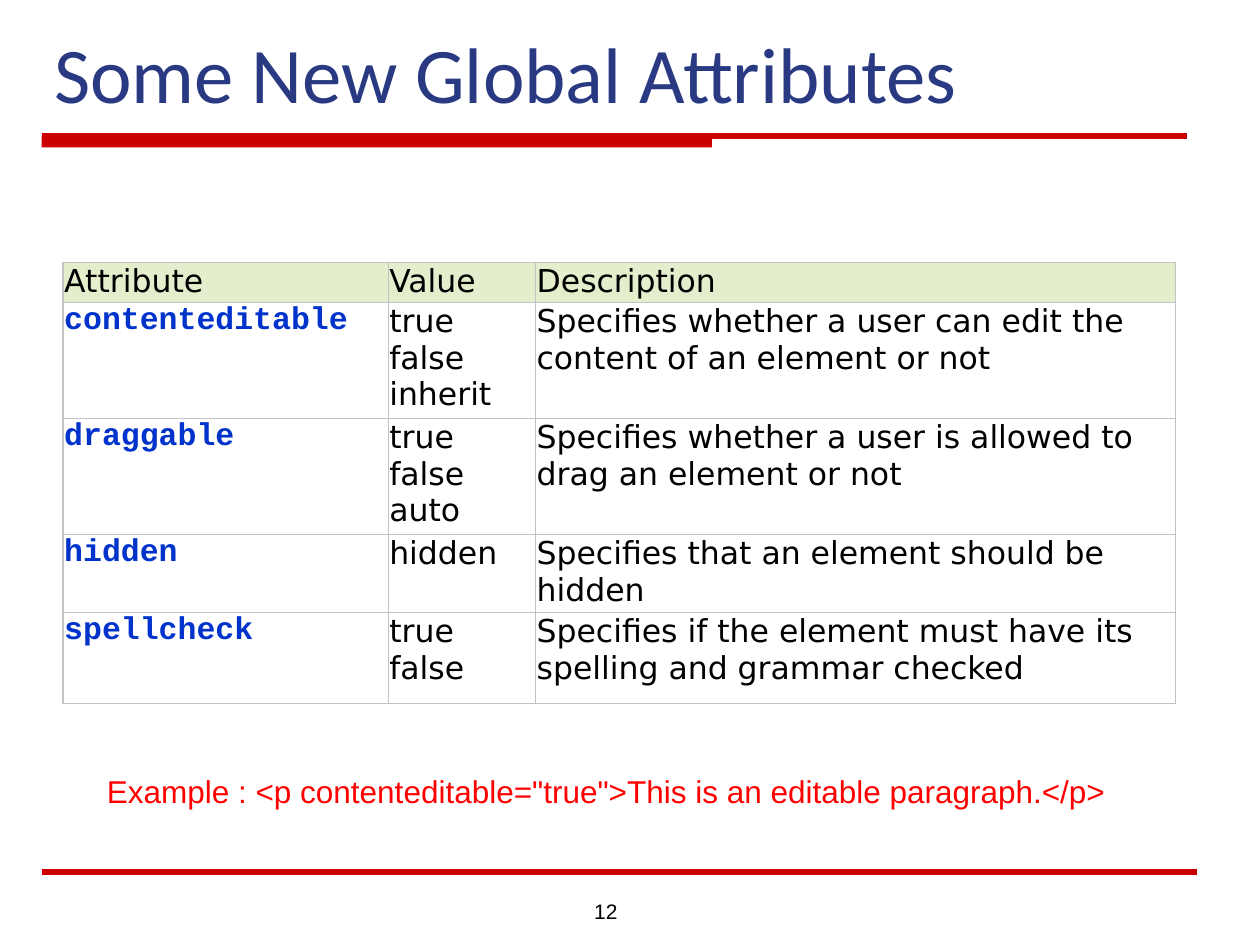
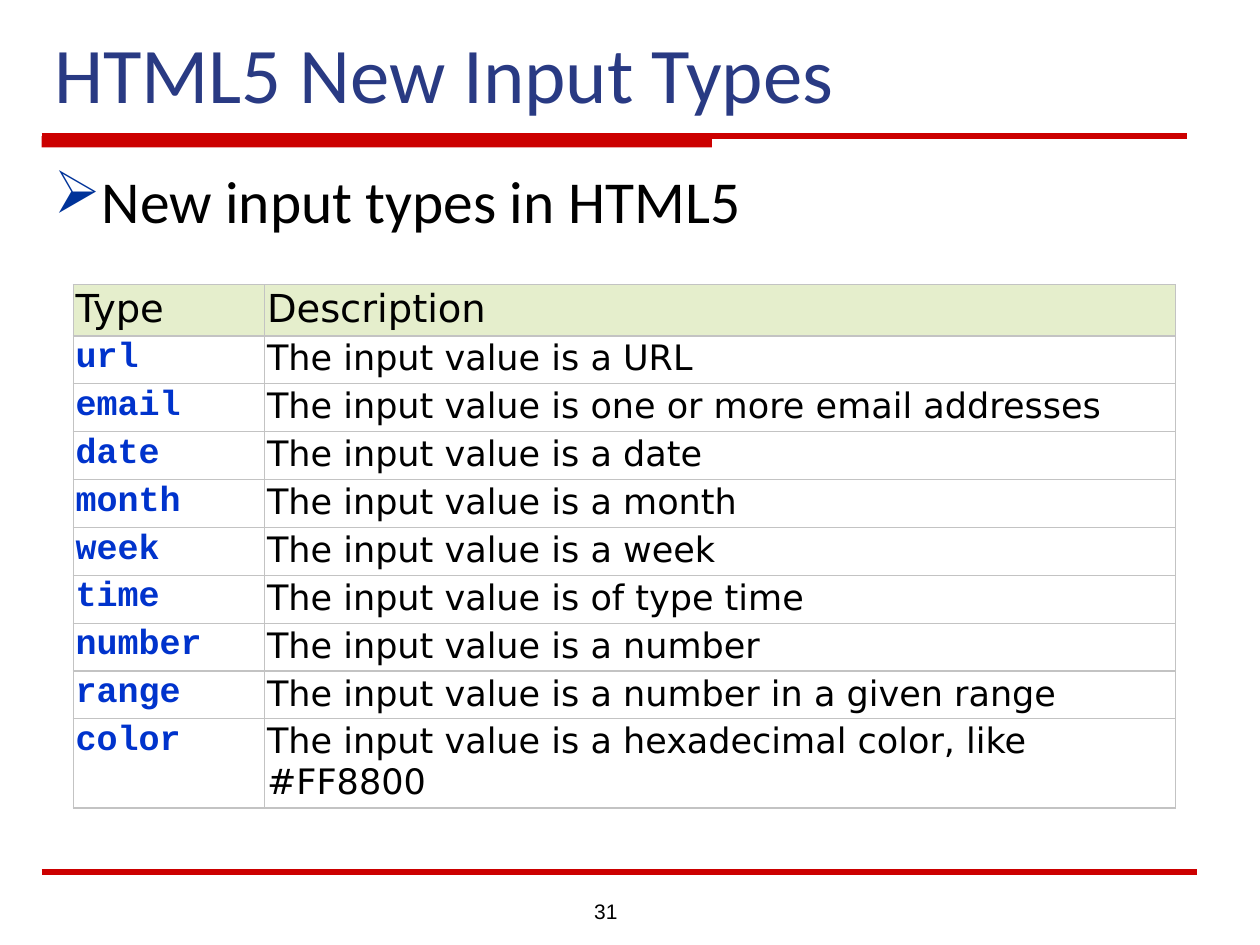
from lxml import etree
from pptx import Presentation
from pptx import util as u
from pptx.dml.color import RGBColor
from pptx.enum import shapes, text
from pptx.oxml import ns

RED, NAVY, BLACK, WHITE = "CC0000", "293A83", "000000", "FFFFFF"
CODE_BLUE, HEADER_GREEN, BORDER_GREY = "0033CC", "E5EECC", "C3C3C3"
EXAMPLE_RED, BULLET_BLUE = "FF0000", "003399"

ATTRIBUTES = [
    ("Attribute", "Value", "Description"),
    ("contenteditable", "true\nfalse\ninherit",
     "Specifies whether a user can edit the content of an element or not"),
    ("draggable", "true\nfalse\nauto",
     "Specifies whether a user is allowed to drag an element or not"),
    ("hidden", "hidden", "Specifies that an element should be hidden"),
    ("spellcheck", "true\nfalse",
     "Specifies if the element must have its spelling and grammar checked"),
]
INPUT_TYPES = [
    ("Type", "Description"),
    ("url", "The input value is a URL"),
    ("email", "The input value is one or more email addresses"),
    ("date", "The input value is a date"),
    ("month", "The input value is a month"),
    ("week", "The input value is a week"),
    ("time", "The input value is of type time"),
    ("number", "The input value is a number"),
    ("range", "The input value is a number in a given range"),
    ("color", "The input value is a hexadecimal color, like #FF8800"),
]


def rgb(color):
    """Return the colour for a hex string."""
    return RGBColor.from_string(color)


def box(left, top, width, height):
    """Return a position and size in inches."""
    return [u.Inches(v) for v in (left, top, width, height)]


def add_xml(parent, tag, **attrs):
    """Append a DrawingML element and return it."""
    return etree.SubElement(parent, ns.qn(tag), attrs)


def write(p, words, size, font, color, bold=False):
    """Set a paragraph's text and format its runs."""
    p.text = words
    for r in p.runs:
        r.font.size = u.Pt(size)
        r.font.name = font
        r.font.bold = bold
        r.font.color.rgb = rgb(color)


def add_text(s, place, words, size, font, color):
    """Add a wrapping text box and return its paragraph."""
    tf = s.shapes.add_textbox(*box(*place)).text_frame
    tf.word_wrap = True
    p = tf.paragraphs[0]
    write(p, words, size, font, color)
    return p


def add_rule(s, right, y):
    """Draw a red horizontal rule from the left margin."""
    ends = [u.Inches(v) for v in (0.33, y, right, y)]
    rule = s.shapes.add_connector(shapes.MSO_CONNECTOR.STRAIGHT, *ends)
    rule.line.color.rgb = rgb(RED)
    rule.line.width = u.Pt(3)
    add_xml(rule._element.spPr, "a:effectLst")


def add_slide(prs, title, number):
    """Add a slide with its title, red band, footer rule and number."""
    s = prs.slides.add_slide(prs.slide_layouts[5])
    band = s.shapes.add_shape(shapes.MSO_SHAPE.RECTANGLE,
                              *box(0.33, 1.08, 5.32, 0.09))
    band.shadow.inherit = False
    band.fill.solid()
    band.fill.fore_color.rgb = rgb(RED)
    band.line.fill.background()
    add_rule(s, 9.42, 1.08)
    add_rule(s, 9.5, 6.92)

    sp = s.shapes.title
    sp.left, sp.top, sp.width, sp.height = box(0.33, 0.17, 9.25, 0.83)
    tf = sp.text_frame
    tf.vertical_anchor = text.MSO_ANCHOR.BOTTOM
    tf.auto_size = text.MSO_AUTO_SIZE.NONE
    p = tf.paragraphs[0]
    write(p, title, 45, "Calibri", NAVY)
    p.alignment = text.PP_ALIGN.LEFT

    p = add_text(s, (4.33, 7.08, 0.67, 0.27), number, 12, "Arial", BLACK)
    p.alignment = text.PP_ALIGN.RIGHT
    return s


def add_bullet(s, words):
    """Add the body text with an arrow bullet."""
    p = add_text(s, (0.33, 1.25, 9.17, 5.67), words, 34, "Calibri", BLACK)
    p.space_before = u.Pt(6)
    pPr = p._p.get_or_add_pPr()
    pPr.set("marL", str(u.Inches(0.38)))
    pPr.set("indent", str(u.Inches(-0.38)))
    add_xml(add_xml(pPr, "a:buClr"), "a:srgbClr", val=BULLET_BLUE)
    add_xml(pPr, "a:buChar", char="➢")


def add_borders(cell):
    """Draw a thin grey line on all four sides of a cell."""
    tcPr = cell._tc.get_or_add_tcPr()
    for side in "LRTB":
        ln = add_xml(tcPr, f"a:ln{side}", w=str(u.Pt(0.75)))
        add_xml(add_xml(ln, "a:solidFill"), "a:srgbClr", val=BORDER_GREY)


def add_reference_table(s, left, top, widths, heights, rows, inset,
                        head_size, size):
    """Add a table with a green header and code names in its first column."""
    place = box(left, top, sum(widths), sum(heights))
    table = s.shapes.add_table(len(rows), len(widths), *place).table
    for column, width in zip(table.columns, widths):
        column.width = u.Inches(width)
    for i, (row, height) in enumerate(zip(rows, heights)):
        table.rows[i].height = u.Inches(height)
        for j, words in enumerate(row):
            cell = table.cell(i, j)
            cell.margin_left = cell.margin_right = u.Inches(inset)
            cell.margin_top = cell.margin_bottom = u.Inches(inset)
            add_borders(cell)
            cell.fill.solid()
            cell.fill.fore_color.rgb = rgb(WHITE if i else HEADER_GREEN)
            p = cell.text_frame.paragraphs[0]
            if i and j == 0:
                write(p, words, size, "Courier New", CODE_BLUE, bold=True)
            else:
                write(p, words, size if i else head_size, "DejaVu Sans", BLACK)


def main():
    """Build both slides and save them."""
    prs = Presentation()
    prs.slide_width, prs.slide_height = u.Inches(10), u.Inches(7.5)

    s = add_slide(prs, "Some New Global Attributes", "12")
    add_reference_table(s, 0.5, 2.08, [2.58, 1.17, 5.08],
                        [0.26, 0.72, 0.72, 0.49, 0.72], ATTRIBUTES,
                        inset=0.01, head_size=18, size=18)
    add_text(s, (0.75, 6.08, 8.42, 0.4),
             'Example : <p contenteditable="true">'
             'This is an editable paragraph.</p>', 18, "Arial", EXAMPLE_RED)

    s = add_slide(prs, "HTML5 New Input Types", "31")
    add_bullet(s, "New input types in HTML5")
    add_reference_table(s, 0.58, 2.26, [1.52, 7.23],
                        [0.38] * len(INPUT_TYPES), INPUT_TYPES,
                        inset=0.02, head_size=22, size=20)
    prs.save("out.pptx")


if __name__ == "__main__":
    main()
